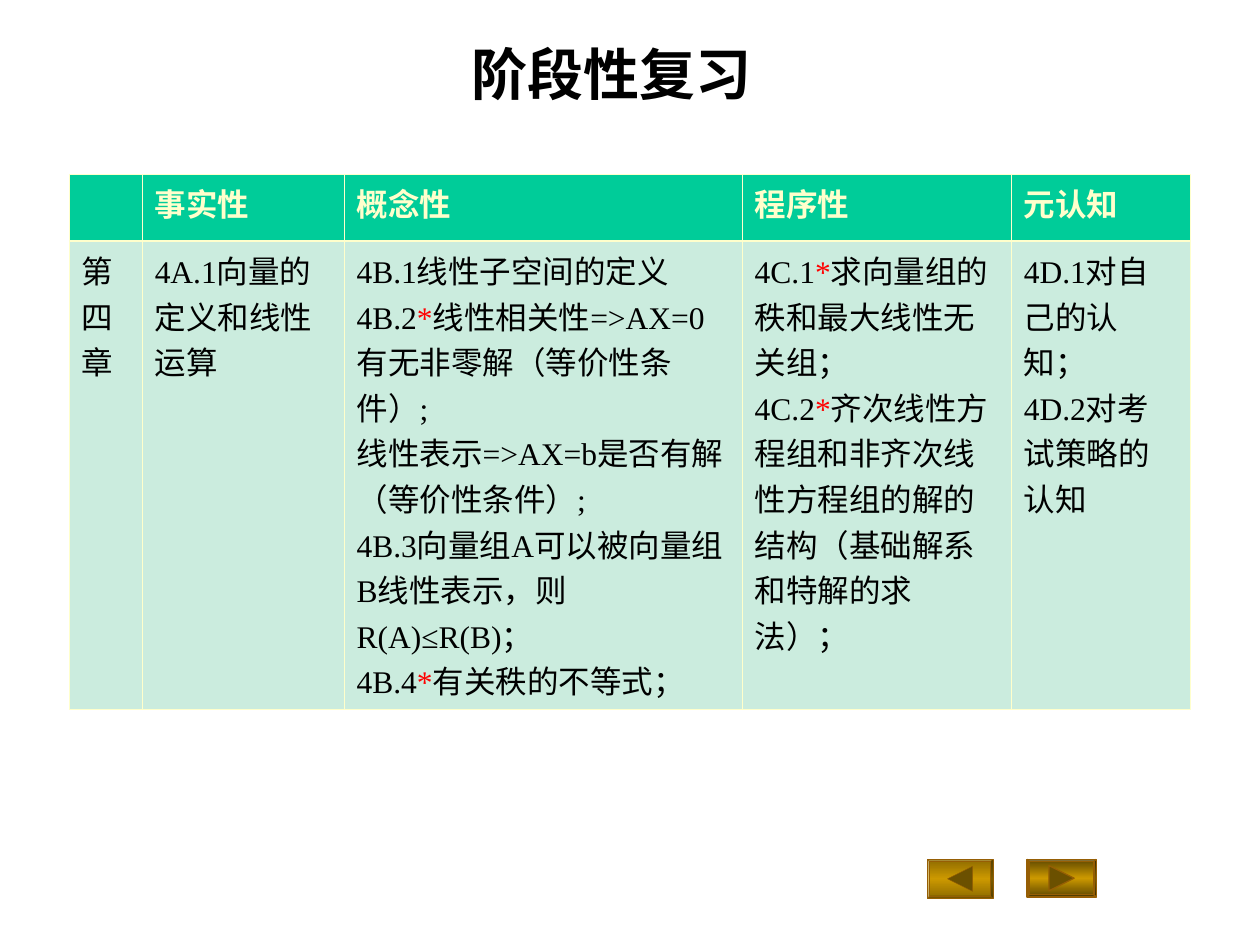
import dataclasses

import lxml.etree
import pptx
import pptx.dml.color
import pptx.enum.shapes
import pptx.enum.text
import pptx.oxml
import pptx.oxml.ns
import pptx.util

SLIDE_W, SLIDE_H = 10, 7.5


@dataclasses.dataclass(frozen=True)
class Theme:
    font: str = "Times New Roman"
    title_size: int = 32
    body_size: int = 18
    ink: str = "000000"
    star: str = "FF0000"
    header_fill: str = "00CC99"
    body_fill: str = "CBECDE"
    cream: str = "FFFFCC"
    gold: str = "CC9900"
    bronze: str = "965E04"
    arrow: str = "6B5000"
    hairline: float = 0.45
    header_rule: float = 1.47


THEME = Theme()
HEADINGS = ["", "事实性", "概念性", "程序性", "元认知"]
# Each entry is a cell of paragraphs; an asterisk marks a key point
CHAPTER = [
    ["第四章"],
    ["4A.1向量的定义和线性运算"],
    ["4B.1线性子空间的定义",
     "4B.2*线性相关性=>AX=0有无非零解（等价性条件）;",
     "线性表示=>AX=b是否有解（等价性条件）;",
     "4B.3向量组A可以被向量组B线性表示，则R(A)≤R(B)；",
     "4B.4*有关秩的不等式；"],
    ["4C.1*求向量组的秩和最大线性无关组；",
     "4C.2*齐次线性方程组和非齐次线性方程组的解的结构（基础解系和特解的求法）；"],
    ["4D.1对自己的认知；", "4D.2对考试策略的认知"],
]
COLUMN_SHARES = [0.065, 0.18, 0.355, 0.24, 0.16]
ROW_HEIGHTS = [0.53, 3.1]


def rgb(value):
    return pptx.dml.color.RGBColor.from_string(value)


def inches(box):
    return [pptx.util.Inches(length) for length in box]


def write(paragraph, text, size, color, bold=False):
    # Closing punctuation stays inside the text margins
    paragraph._p.get_or_add_pPr().set("hangingPunct", "0")
    before, star, after = text.partition("*")
    for part in filter(None, (before, star, after)):
        run = paragraph.add_run()
        run.text = part
        if part == "*":
            run.font.color.rgb = rgb(THEME.star)
    font = paragraph.font
    font.name, font.size, font.bold = THEME.font, pptx.util.Pt(size), bold
    font.color.rgb = rgb(color)


def add_title(slide, box, text):
    frame = slide.shapes.add_textbox(*inches(box)).text_frame
    frame.word_wrap = True
    frame.auto_size = pptx.enum.text.MSO_AUTO_SIZE.NONE
    frame.vertical_anchor = pptx.enum.text.MSO_ANCHOR.BOTTOM
    frame.paragraphs[0].alignment = pptx.enum.text.PP_ALIGN.CENTER
    write(frame.paragraphs[0], text, THEME.title_size, THEME.ink, bold=True)


def set_borders(cell, **widths):
    properties = cell._tc.get_or_add_tcPr()
    for side in "LRTB":
        width = pptx.util.Pt(widths.get(side, THEME.hairline))
        line = lxml.etree.SubElement(
            properties, pptx.oxml.ns.qn(f"a:ln{side}"), w=str(int(width)))
        fill = lxml.etree.SubElement(line, pptx.oxml.ns.qn("a:solidFill"))
        lxml.etree.SubElement(
            fill, pptx.oxml.ns.qn("a:srgbClr"), val=THEME.cream)


def fill_cell(cell, paragraphs, fill, color, bold, **borders):
    set_borders(cell, **borders)
    cell.fill.solid()
    cell.fill.fore_color.rgb = rgb(fill)
    frame = cell.text_frame
    for index, text in enumerate(paragraphs):
        paragraph = frame.add_paragraph() if index else frame.paragraphs[0]
        write(paragraph, text, THEME.body_size, color, bold)


def add_review_table(slide, box):
    review = slide.shapes.add_table(
        len(ROW_HEIGHTS), len(COLUMN_SHARES), *inches(box)).table
    for column, share in zip(review.columns, COLUMN_SHARES):
        column.width = pptx.util.Inches(box[2] * share)
    for row, height in zip(review.rows, ROW_HEIGHTS):
        row.height = pptx.util.Inches(height)
    for index, (heading, points) in enumerate(zip(HEADINGS, CHAPTER)):
        fill_cell(review.cell(0, index), [heading], THEME.header_fill,
                  THEME.cream, True, B=THEME.header_rule)
        fill_cell(review.cell(1, index), points, THEME.body_fill,
                  THEME.ink, False, T=THEME.header_rule)


def set_gradient(shape, edge):
    shape.fill.gradient()
    shape.fill.gradient_angle = 90
    stops = shape._element.spPr.find(".//" + pptx.oxml.ns.qn("a:gsLst"))
    for stop in list(stops):
        stops.remove(stop)
    for position, color in ((0, edge), (50, THEME.gold), (100, edge)):
        stop = lxml.etree.SubElement(
            stops, pptx.oxml.ns.qn("a:gs"), pos=str(position * 1000))
        lxml.etree.SubElement(stop, pptx.oxml.ns.qn("a:srgbClr"), val=color)


def outline(shape, width):
    shape.shadow.inherit = False
    shape.line.color.rgb = rgb(THEME.bronze)
    shape.line.width = pptx.util.Pt(width)


def add_nav_button(slide, box, direction, edge, line_width):
    """direction is -1 for back and 1 for forward."""
    left, top, width, height = inches(box)
    # Bevelled face
    button = slide.shapes.add_shape(
        pptx.enum.shapes.MSO_SHAPE.BEVEL, left, top, width, height)
    button.adjustments[0] = 0.06
    set_gradient(button, edge)
    outline(button, line_width)
    # Arrow, centred on the face
    x, y = left + width // 2, top + height // 2
    reach = pptx.util.Inches(0.1)
    builder = slide.shapes.build_freeform(x + direction * reach, y)
    builder.add_line_segments([(x - direction * reach, y - reach),
                               (x - direction * reach, y + reach)])
    arrow = builder.convert_to_shape()
    arrow.fill.solid()
    arrow.fill.fore_color.rgb = rgb(THEME.arrow)
    outline(arrow, line_width)


def main():
    deck = pptx.Presentation()
    deck.slide_width, deck.slide_height = inches((SLIDE_W, SLIDE_H))
    slide = deck.slides.add_slide(deck.slide_layouts[6])
    add_nav_button(slide, (7.36, 6.82, 0.52, 0.31), -1, "8E6B00", 0.25)
    add_nav_button(slide, (8.15, 6.82, 0.55, 0.3), 1, "5E4700", 0.75)
    add_title(slide, (2.91, 0.38, 3.89, 0.52), "阶段性复习")
    add_review_table(slide, (0.55, 1.38, 8.9, sum(ROW_HEIGHTS)))
    deck.save("out.pptx")


if __name__ == "__main__":
    main()
